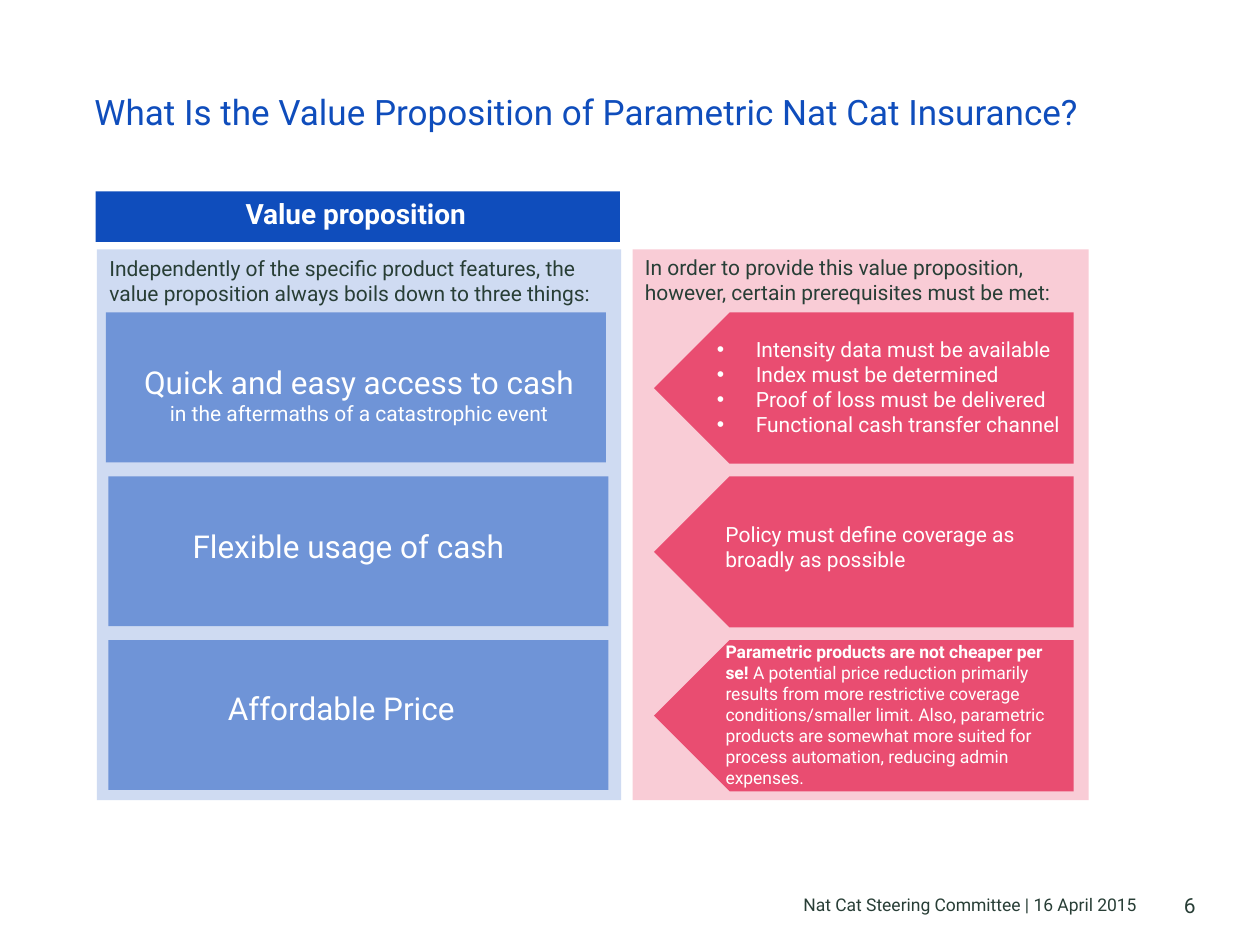
from dataclasses import dataclass

from lxml import etree
from pptx import Presentation
from pptx.dml.color import RGBColor
from pptx.enum.shapes import MSO_SHAPE
from pptx.enum.text import MSO_ANCHOR, PP_ALIGN
from pptx.oxml.ns import qn
from pptx.util import Emu, Pt

RECTANGLE, PENTAGON = MSO_SHAPE.RECTANGLE, MSO_SHAPE.PENTAGON
TOP, BOTTOM = MSO_ANCHOR.TOP, MSO_ANCHOR.BOTTOM
LEFT, CENTER, RIGHT = PP_ALIGN.LEFT, PP_ALIGN.CENTER, PP_ALIGN.RIGHT
PX = 9144  # 100 px to the inch


@dataclass(frozen=True)
class Theme:
    font: str = "Roboto"
    blue: str = "0F4DBC"
    mid_blue: str = "6F94D7"
    pale_blue: str = "CFDBF2"
    red: str = "E94D71"
    pale_red: str = "F9CCD6"
    dark: str = "283E36"
    white: str = "FFFFFF"
    title: int = 20
    large: int = 18
    heading: int = 16
    body: int = 12
    small: int = 10


theme = Theme()
presentation = Presentation()
presentation.slide_width, presentation.slide_height = Emu(1000 * PX), Emu(750 * PX)
slide = presentation.slides.add_slide(presentation.slide_layouts[6])


def add_block(kind, box, color, rotation=0):
    shape = slide.shapes.add_shape(kind, *[Emu(length * PX) for length in box])
    shape.shadow.inherit = False
    shape.fill.solid()
    shape.fill.fore_color.rgb = RGBColor.from_string(color)
    shape.line.fill.background()
    shape.rotation = rotation


def add_text(box, *paragraphs, size=theme.body, color=theme.white, align=LEFT,
             anchor=TOP, wrap=True, inset=True, bullet=False, spacing=None):
    """Each paragraph is a string or a list of (text, size, bold) runs."""
    shape = slide.shapes.add_textbox(*[Emu(length * PX) for length in box])
    frame = shape.text_frame
    frame.word_wrap = wrap
    frame.vertical_anchor = anchor
    if not inset:
        frame.margin_left = frame.margin_right = frame.margin_top = frame.margin_bottom = 0
    for index, content in enumerate(paragraphs):
        paragraph = frame.add_paragraph() if index else frame.paragraphs[0]
        paragraph.alignment = align
        if spacing:
            paragraph.line_spacing = spacing
        if bullet:
            properties = paragraph._p.get_or_add_pPr()
            properties.set("marL", str(31 * PX))
            properties.set("indent", str(-31 * PX))
            etree.SubElement(properties, qn("a:buFont")).set("typeface", "Arial")
            etree.SubElement(properties, qn("a:buChar")).set("char", "•")
        runs = [(content, size, False)] if isinstance(content, str) else content
        for text, run_size, bold in runs:
            run = paragraph.add_run()
            run.text = text
            run.font.name = theme.font
            run.font.size = Pt(run_size)
            run.font.bold = bold
            run.font.color.rgb = RGBColor.from_string(color)


# Title and footer
add_text((75, 76, 874, 76), "What Is the Value Proposition of Parametric Nat Cat Insurance?",
         size=theme.title, color=theme.blue, inset=False, spacing=0.9)
add_text((256, 711, 646, 15), "Nat Cat Steering Committee | 16 April 2015", size=theme.small,
         color=theme.dark, align=RIGHT, anchor=BOTTOM, wrap=False, inset=False)
add_text((925, 708, 24, 20), "6", color=theme.dark, align=RIGHT, anchor=BOTTOM,
         wrap=False, inset=False)

# Panels, with three propositions facing three prerequisites
add_block(RECTANGLE, (77, 198, 416, 437), theme.pale_blue)
add_block(RECTANGLE, (502, 198, 362, 437), theme.pale_red)
for row, proposition_left in enumerate((84, 86, 86)):
    row_top = 248 + 130 * row
    add_block(RECTANGLE, (proposition_left, row_top, 397, 119), theme.mid_blue)
    add_block(PENTAGON, (519, row_top, 333, 120), theme.red, rotation=180)

# Value proposition
add_block(RECTANGLE, (76, 152, 416, 40), theme.blue)
add_text((185, 151, 208, 37), [("Value proposition", theme.heading, True)])
add_text((77, 198, 425, 50),
         "Independently of the specific product features, the value proposition "
         "always boils down to three things:", color=theme.dark)
add_text((101, 283, 368, 61),
         [("Quick and easy access to cash ", theme.large, False),
          ("in the aftermaths of a catastrophic event", theme.body, False)], align=CENTER)
add_text((143, 413, 270, 40), "Flexible usage of cash", size=theme.large, wrap=False)
add_text((171, 542, 202, 40), "Affordable Price", size=theme.large, wrap=False)

# Prerequisites
add_text((502, 197, 362, 50),
         "In order to provide this value proposition, however, certain prerequisites "
         "must be met:", color=theme.dark)
add_text((559, 262, 298, 91), "Intensity data must be available", "Index must be determined",
         "Proof of loss must be delivered", "Functional cash transfer channel",
         wrap=False, bullet=True)
add_text((566, 409, 286, 50), "Policy must define coverage as broadly as possible")
add_text((566, 504, 288, 128),
         [("Parametric products are not cheaper per se! ", theme.small, True),
          ("A potential price reduction primarily results from more restrictive coverage "
           "conditions/smaller limit. Also, parametric products are somewhat more suited "
           "for process automation, reducing admin expenses.", theme.small, False)])

presentation.save("out.pptx")
